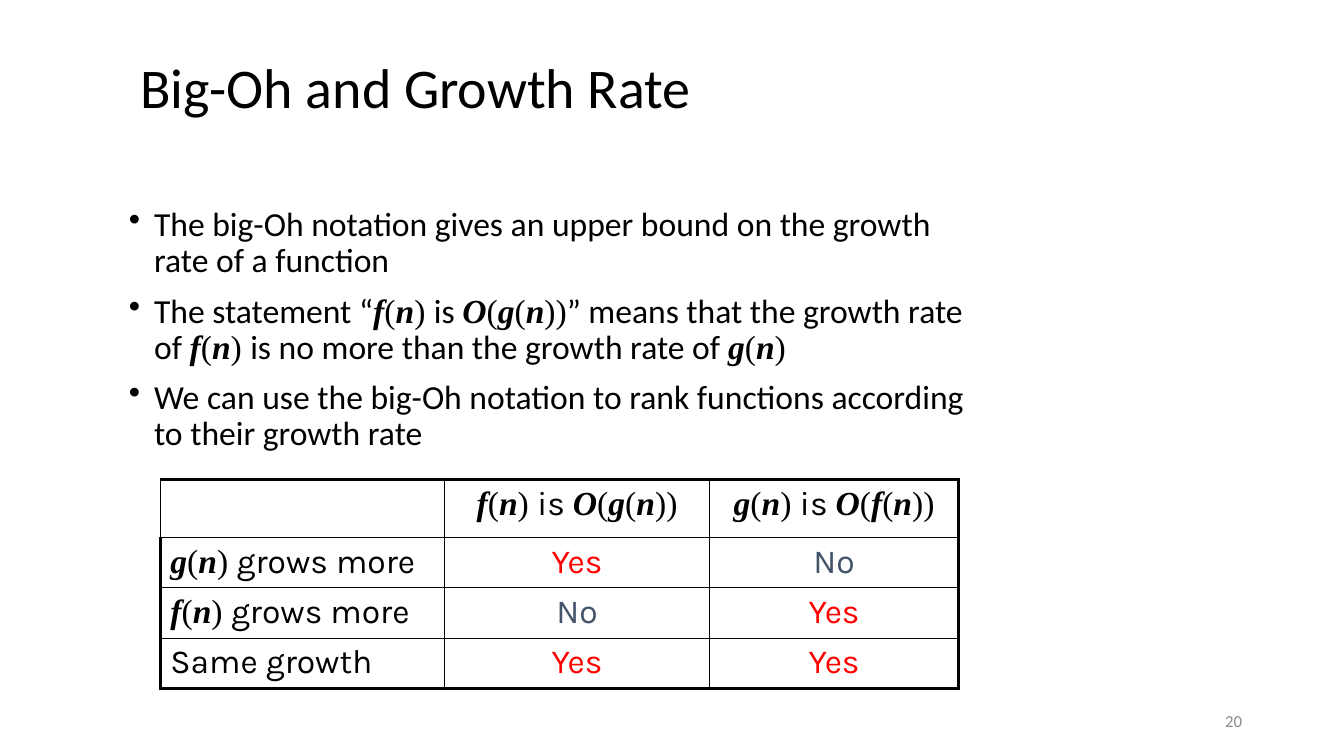
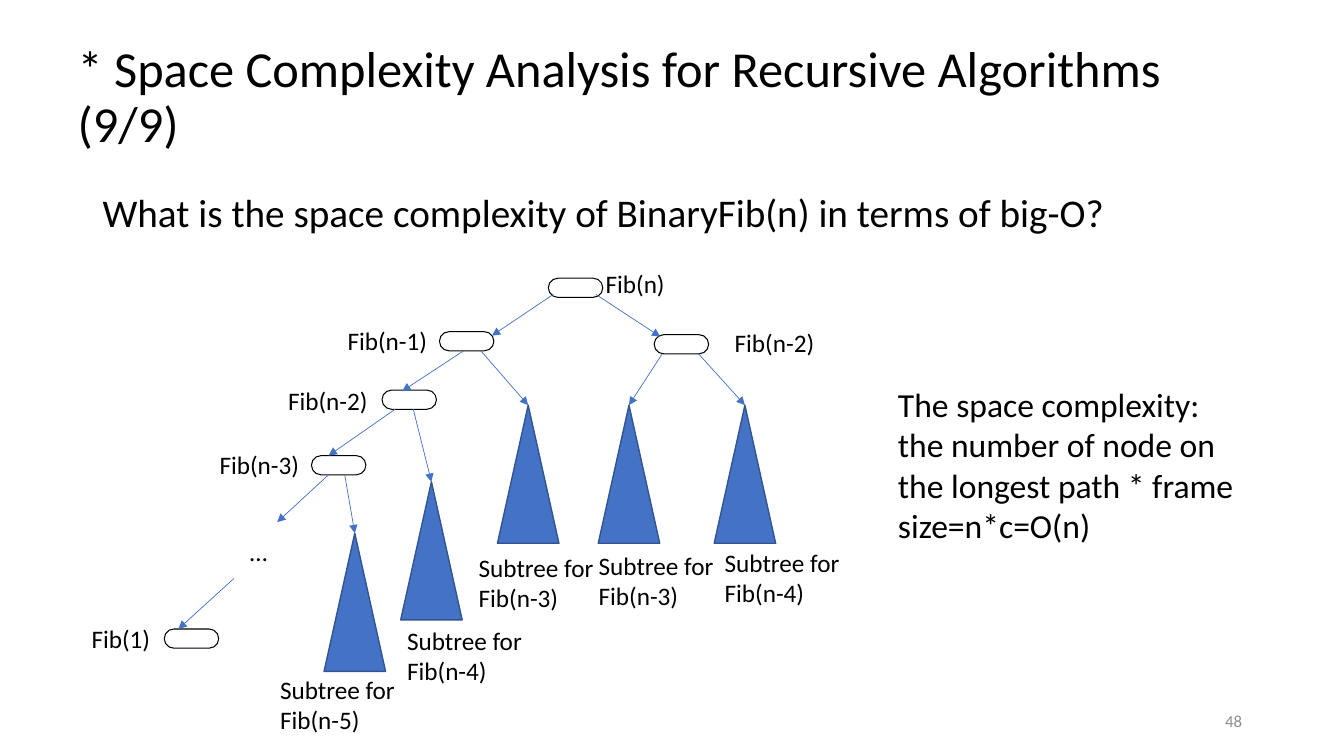
from lxml.etree import SubElement
from pptx import Presentation
from pptx.dml.color import RGBColor
from pptx.enum.shapes import MSO_CONNECTOR, MSO_SHAPE
from pptx.enum.text import MSO_ANCHOR, MSO_AUTO_SIZE, PP_ALIGN
from pptx.oxml.ns import qn
from pptx.util import Emu, Inches, Pt

# Grid: 75 rows high, square cells of a tenth of an inch
COLUMNS, ROWS = 133.33, 75
CELL = Inches(0.1)

BLACK = RGBColor(0x00, 0x00, 0x00)
WHITE = RGBColor(0xFF, 0xFF, 0xFF)
GREY = RGBColor(0x8C, 0x8C, 0x8C)
RED = RGBColor(0xFF, 0x00, 0x00)
SLATE = RGBColor(0x44, 0x54, 0x6A)
BLUE = RGBColor(0x44, 0x72, 0xC4)
DARK_BLUE = RGBColor(0x32, 0x54, 0x91)

BODY_FONT, TABLE_FONT, MATH_FONT = "Calibri", "Karla", "Times New Roman"
NODE_WIDTH, NODE_HEIGHT = 5.4, 1.9
SUBTREE_WIDTH, SUBTREE_HEIGHT = 6.1, 13.7


def grid(*cells):
    return [Emu(round(cell * CELL)) for cell in cells]


class Deck:
    def __init__(self):
        self.presentation = Presentation()
        size = grid(COLUMNS, ROWS)
        self.presentation.slide_width, self.presentation.slide_height = size
        self.slide = None

    def new_slide(self, title, box, size, number):
        layout = self.presentation.slide_layouts[5]
        self.slide = self.presentation.slides.add_slide(layout)
        heading = self.slide.shapes.title
        heading.left, heading.top, heading.width, heading.height = grid(*box)
        heading.text_frame.auto_size = MSO_AUTO_SIZE.NONE
        heading.text_frame.vertical_anchor = MSO_ANCHOR.MIDDLE
        self.fill_paragraph(heading.text_frame.paragraphs[0], title, size,
                            spacing=0.9)
        self.text([number], (94.2, 69.5, 30, 4), 12, color=GREY,
                  align=PP_ALIGN.RIGHT, anchor=MSO_ANCHOR.MIDDLE)

    def fill_paragraph(self, paragraph, text, size, font=BODY_FONT, color=BLACK,
                       align=PP_ALIGN.LEFT, spacing=None):
        """Set text and style; parts between $ signs are formulas."""
        paragraph.alignment = align
        paragraph.line_spacing = spacing
        paragraph.font.size = Pt(size)
        paragraph.font.name = font
        paragraph.font.color.rgb = color
        for index, part in enumerate(text.split("$")):
            if index % 2:
                self.formula(paragraph, part)
            elif part:
                paragraph.add_run().text = part

    def formula(self, paragraph, symbols):
        for symbol in symbols:
            run = paragraph.add_run()
            run.text = symbol
            run.font.name = MATH_FONT
            run.font.bold = run.font.italic = symbol.isalpha()

    def text(self, lines, box, size, wrap=True, bullets=False,
             anchor=MSO_ANCHOR.TOP, **style):
        frame = self.slide.shapes.add_textbox(*grid(*box)).text_frame
        frame.word_wrap = wrap
        frame.vertical_anchor = anchor
        for index, line in enumerate(lines):
            paragraph = frame.add_paragraph() if index else frame.paragraphs[0]
            self.fill_paragraph(paragraph, line, size, **style)
            if bullets:
                self.bullet(paragraph, first=index == 0)

    def bullet(self, paragraph, first):
        paragraph.space_before = Pt(0 if first else 10)
        properties = paragraph.font._element.getparent()
        properties.set("marL", str(Inches(0.25)))
        properties.set("indent", str(-Inches(0.25)))
        mark = properties.makeelement(qn("a:buChar"), {"char": "•"})
        properties.find(qn("a:defRPr")).addprevious(mark)

    def table(self, cells, left, top, widths, heights):
        box = grid(left, top, sum(widths), sum(heights))
        table = self.slide.shapes.add_table(len(heights), len(widths), *box).table
        table.first_row = table.horz_banding = False
        for column, width in zip(table.columns, grid(*widths)):
            column.width = width
        for row, height in zip(table.rows, grid(*heights)):
            row.height = height
        last_row, last_column = len(heights) - 1, len(widths) - 1
        answer_colors = {"Yes": RED, "No": SLATE}
        for r, row in enumerate(cells):
            for c, content in enumerate(row):
                cell = table.cell(r, c)
                self.fill_paragraph(cell.text_frame.paragraphs[0], content, 24,
                                    TABLE_FONT, answer_colors.get(content, BLACK),
                                    PP_ALIGN.CENTER if c else PP_ALIGN.LEFT)
                self.borders(cell, L=c == 0 and r > 0, R=c == last_column,
                             T=r == 0, B=r == last_row)
                cell.fill.background()

    def borders(self, cell, **heavy_sides):
        properties = cell._tc.get_or_add_tcPr()
        for side, heavy in heavy_sides.items():
            edge = SubElement(properties, qn(f"a:ln{side}"),
                              w=str(Pt(2.25 if heavy else 1)))
            fill = SubElement(edge, qn("a:solidFill"))
            SubElement(fill, qn("a:srgbClr"), val=str(BLACK))

    def shape(self, kind, box, fill, outline, width):
        shape = self.slide.shapes.add_shape(kind, *grid(*box))
        shape.shadow.inherit = False
        shape.fill.solid()
        shape.fill.fore_color.rgb = fill
        shape.line.color.rgb = outline
        shape.line.width = Pt(width)
        return shape

    def arrow(self, start, end):
        arrow = self.slide.shapes.add_connector(
            MSO_CONNECTOR.STRAIGHT, *grid(*start, *end))
        arrow.line.color.rgb = BLUE
        arrow.line.width = Pt(0.5)
        properties = arrow._element.spPr
        SubElement(properties.find(qn("a:ln")), qn("a:tailEnd"), type="triangle")
        SubElement(properties, qn("a:effectLst"))

    def label(self, lines, left, top, width):
        height = 1 + 3.05 * len(lines)
        self.text(lines, (left, top, width, height), 18, wrap=False)

    def call_node(self, left, top, name, name_left, name_top, name_width=10):
        node = self.shape(MSO_SHAPE.ROUNDED_RECTANGLE,
                          (left, top, NODE_WIDTH, NODE_HEIGHT), WHITE, BLACK, 0)
        node.adjustments[0] = 0.5
        self.label([name], name_left, name_top, name_width)

    def subtree(self, parent, apex, name, name_left, name_top):
        x, y = apex
        self.shape(MSO_SHAPE.ISOSCELES_TRIANGLE,
                   (x - SUBTREE_WIDTH / 2, y, SUBTREE_WIDTH, SUBTREE_HEIGHT),
                   BLUE, DARK_BLUE, 1)
        self.arrow(parent, apex)
        self.label(["Subtree for", name], name_left, name_top, 13.5)


def growth_rate_slide(deck):
    deck.new_slide("Big-Oh and Growth Rate", (12.9, 4.4, 85.2, 9.1), 40, "20")
    deck.text([
        "The big-Oh notation gives an upper bound on the growth rate of a function",
        "The statement “$f(n) $is $O(g(n))$” means that the growth rate of "
        "$f(n) $is no more than the growth rate of $g(n)$",
        "We can use the big-Oh notation to rank functions according to their "
        "growth rate",
    ], (11.8, 20.1, 87.5, 28.3), 24, bullets=True, spacing=0.9)
    deck.table([
        ["", "$f(n) $is $O(g(n))$", "$g(n) $is $O(f(n))$"],
        ["$g(n) $grows more", "Yes", "No"],
        ["$f(n) $grows more", "No", "Yes"],
        ["Same growth", "Yes", "Yes"],
    ], 15.9, 47.6, widths=[28.2, 26.3, 24.7], heights=[5.7, 4.9, 4.9, 4.9])


def space_complexity_slide(deck):
    deck.new_slide("* Space Complexity Analysis for Recursive Algorithms (9/9)",
                   (6.7, 3.1, 120, 13.4), 36, "48")
    deck.text(["What is the space complexity of BinaryFib(n) in terms of big-O?"],
              (9.2, 18.7, 115, 5.5), 28, spacing=0.9)

    # Calls: node position, name, name position
    for call in [
        (54.4, 27.6, "Fib(n)", 59.1, 26.1, 8),
        (43.6, 32.9, "Fib(n-1)", 33.5, 31.8),
        (64.9, 33.2, "Fib(n-2)", 71.9, 32),
        (37.9, 38.7, "Fib(n-2)", 27.6, 37.7),
        (30.9, 45.2, "Fib(n-3)", 20.8, 44.1),
        (16.3, 62.4, "Fib(1)", 8.1, 61.3, 7.9),
    ]:
        deck.call_node(*call)
    deck.label(["…"], 23.8, 52.7, 3.8)

    # Arrows from call to call
    for start, end in [
        ((54.9, 29.2), (48.8, 33.3)),
        ((59.1, 29.2), (65.5, 33.4)),
        ((46, 34.8), (39.9, 38.8)),
        ((39.2, 40.6), (32.6, 45.2)),
        ((32.6, 47.1), (27.5, 51.8)),
        ((23.2, 57.4), (17.7, 62.4)),
    ]:
        deck.arrow(start, end)

    # Subtrees: arrow start, apex, name, name position
    for subtree in [
        ((47.7, 34.8), (52.4, 40.2), "Fib(n-3)", 46.5, 54.3),
        ((65.7, 35.1), (62.4, 40.2), "Fib(n-3)", 58.4, 54.1),
        ((69.3, 35.1), (73.9, 40.2), "Fib(n-4)", 70.9, 53.8),
        ((41, 40.6), (42.8, 47.8), "Fib(n-4)", 39.4, 61.5),
        ((34.2, 47.1), (35.2, 52.9), "Fib(n-5)", 26.8, 66.4),
    ]:
        deck.subtree(*subtree)

    # Conclusion
    deck.text(["The space complexity: the number of node on the longest path * "
               "frame size=n*c=O(n)"], (88.1, 37.6, 35.4, 17.2), 24)


def main():
    deck = Deck()
    growth_rate_slide(deck)
    space_complexity_slide(deck)
    deck.presentation.save("out.pptx")


if __name__ == "__main__":
    main()
